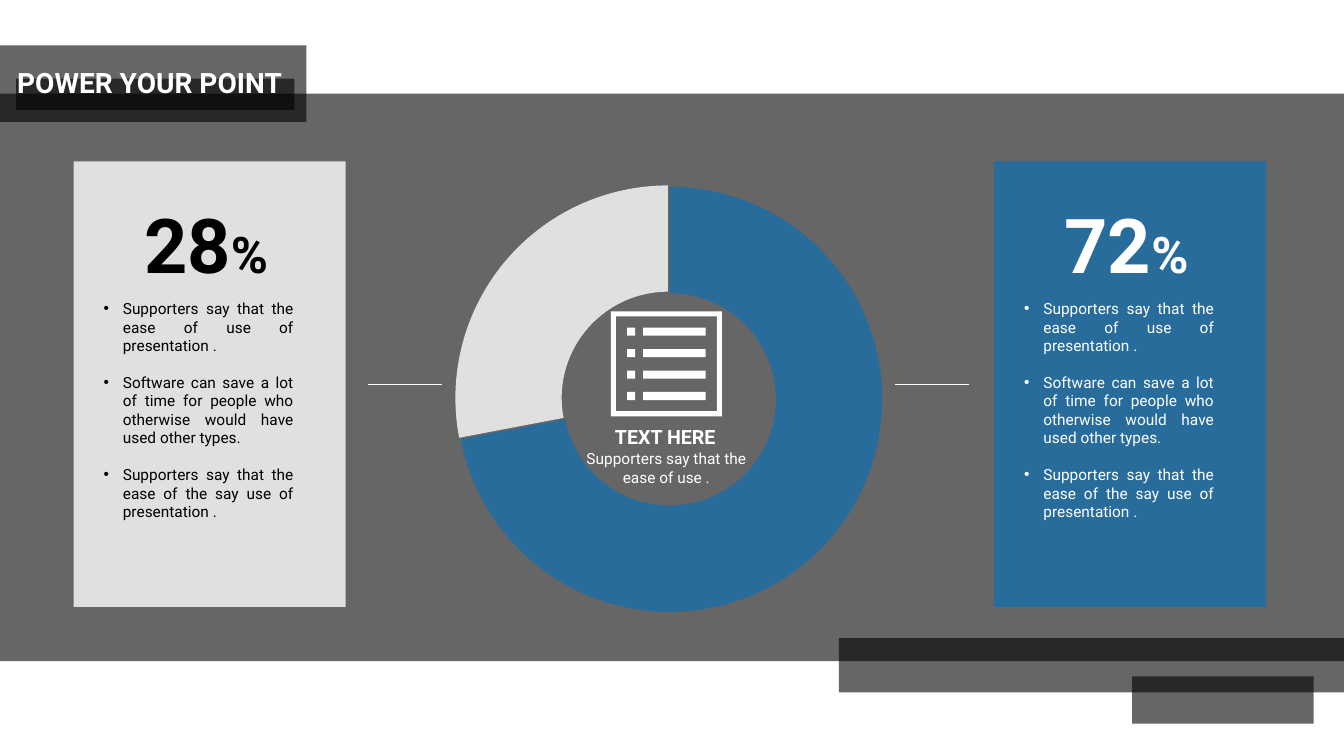
from lxml import etree
from pptx import Presentation
from pptx.chart.data import CategoryChartData
from pptx.dml.color import RGBColor
from pptx.enum.chart import XL_CHART_TYPE
from pptx.enum.shapes import MSO_CONNECTOR, MSO_SHAPE
from pptx.enum.text import MSO_ANCHOR, MSO_AUTO_SIZE, PP_ALIGN
from pptx.oxml.ns import qn
from pptx.util import Inches, Pt

COLORS = {"black": "000000", "white": "FFFFFF", "blue": "0070C0"}
FONT = "Roboto"


def fill_solid(fill, color, opacity=100):
    """Fill with a named colour; opacity is a percentage."""
    fill.solid()
    fill.fore_color.rgb = RGBColor.from_string(COLORS[color])
    if opacity < 100:
        srgb = fill._xPr.find(".//" + qn("a:srgbClr"))
        etree.SubElement(srgb, qn("a:alpha"), val=str(opacity * 1000))


def format_text(box, size, color="white", bold=False, align=PP_ALIGN.LEFT, wrap=True):
    frame = box.text_frame
    frame.word_wrap = wrap
    frame.auto_size = MSO_AUTO_SIZE.SHAPE_TO_FIT_TEXT
    frame.vertical_anchor = MSO_ANCHOR.TOP
    for paragraph in frame.paragraphs:
        paragraph.alignment = align
        for run in paragraph.runs:
            run.font.name = FONT
            run.font.size = Pt(size)
            run.font.bold = bold
            run.font.color.rgb = RGBColor.from_string(COLORS[color])


prs = Presentation()
prs.slide_width, prs.slide_height = Inches(13.33), Inches(7.5)
slide = prs.slides.add_slide(prs.slide_layouts[5])
shapes = slide.shapes

# Background band, side panels, title bars and footer bars
rectangles = [
    (0, 0.93, 13.33, 5.63, "black", 60),
    (0.73, 1.6, 2.7, 4.42, "white", 80),
    (9.86, 1.6, 2.7, 4.42, "blue", 60),
    (0, 0.45, 3.04, 0.76, "black", 60),
    (0.16, 0.78, 2.76, 0.31, "black", 60),
    (8.32, 6.33, 5.02, 0.54, "black", 60),
    (11.23, 6.71, 1.8, 0.47, "black", 60),
]
for left, top, width, height, color, opacity in rectangles:
    rectangle = shapes.add_shape(
        MSO_SHAPE.RECTANGLE, Inches(left), Inches(top), Inches(width), Inches(height))
    rectangle.shadow.inherit = False
    rectangle.line.fill.background()
    fill_solid(rectangle.fill, color, opacity)

# Title, brought in front of its bars
title = shapes.title
title.left, title.top, title.width, title.height = (
    Inches(0.07), Inches(0.6), Inches(2.98), Inches(0.44))
title.text_frame.text = "POWER YOUR POINT"
format_text(title, 20, bold=True)
shapes._spTree.append(title._element)

# Doughnut chart
shares = CategoryChartData()
shares.categories = ["1", "2"]
shares.add_series("Series 1", [72, 28])
chart = shapes.add_chart(
    XL_CHART_TYPE.DOUGHNUT, Inches(4.31), Inches(1.54), Inches(4.56), Inches(4.75), shares).chart
chart.has_legend = False
chart.has_title = False
chart.font.name = FONT
chart.font.size = Pt(10)
chart.font.color.rgb = RGBColor.from_string(COLORS["black"])
plot = chart.plots[0]
plot.vary_by_categories = True
for index, (color, opacity) in enumerate([("blue", 60), ("white", 80)]):
    point = plot.series[0].points[index]
    fill_solid(point.format.fill, color, opacity)
    point.format.line.fill.background()

small_slice = plot.series[0]._element.findall(qn("c:dPt"))[1]
explosion = etree.Element(qn("c:explosion"), val="2")
small_slice.find(qn("c:spPr")).addprevious(explosion)
plot._element.find(qn("c:holeSize")).set("val", "75")

plot_area = chart._chartSpace.find(".//" + qn("c:plotArea"))
for old_layout in plot_area.findall(qn("c:layout")):
    plot_area.remove(old_layout)
layout = etree.Element(qn("c:layout"))
plot_area.insert(0, layout)
manual = etree.SubElement(layout, qn("c:manualLayout"))
for tag, value in [("layoutTarget", "inner"), ("xMode", "edge"), ("yMode", "edge"),
                   ("x", "0.049"), ("y", "0.066"), ("w", "0.925"), ("h", "0.888")]:
    etree.SubElement(manual, qn("c:" + tag), val=value)

# List icon: a frame with four rows of a square and a bar
icon_parts = [(6.06, 3.09, 7.16, 4.13), (6.11, 3.14, 7.11, 4.08)]
for row in range(4):
    row_top = 3.25 + row * 0.213
    icon_parts += [(6.22, row_top, 6.3, row_top + 0.08), (6.38, row_top, 7, row_top + 0.08)]
outline = shapes.build_freeform(Inches(6.06), Inches(3.09))
for left, top, right, bottom in icon_parts:
    outline.move_to(Inches(left), Inches(top))
    corners = [(left, bottom), (right, bottom), (right, top)]
    outline.add_line_segments([(Inches(x), Inches(y)) for x, y in corners], close=True)
list_icon = outline.convert_to_shape()
list_icon.shadow.inherit = False
list_icon.line.fill.background()
fill_solid(list_icon.fill, "white")

# Caption inside the doughnut
heading = shapes.add_textbox(Inches(6), Inches(4.17), Inches(1.22), Inches(0.34))
heading.text_frame.text = "TEXT HERE"
format_text(heading, 14, bold=True, wrap=False)
caption = shapes.add_textbox(Inches(5.56), Inches(4.41), Inches(2.1), Inches(0.47))
caption.text_frame.text = "Supporters say that the ease of use ."
format_text(caption, 11, align=PP_ALIGN.CENTER)

# Percentage, bullets and leader line of each panel
claims = [
    "Supporters say that the ease of use of presentation .",
    "Software can save a lot of time for people who otherwise would have used other types.",
    "Supporters say that the ease of the say use of presentation .",
]
for panel_left, line_left, share, color in [(0.73, 3.65, "28", "black"),
                                            (9.86, 8.88, "72", "white")]:
    percentage = shapes.add_textbox(
        Inches(panel_left + 0.6), Inches(1.91), Inches(1.51), Inches(1.01))
    number = percentage.text_frame.paragraphs[0]
    number.text = share
    sign = number.add_run()
    sign.text = "%"
    format_text(percentage, 54, color, bold=True, wrap=False)
    sign.font.size = Pt(36)

    bullets = shapes.add_textbox(
        Inches(panel_left + 0.2), Inches(2.92), Inches(2.08), Inches(2.51))
    bullets.text_frame.text = "\n".join(claims)
    for index, paragraph in enumerate(bullets.text_frame.paragraphs):
        properties = paragraph._p.get_or_add_pPr()
        properties.set("marL", str(Inches(0.19)))
        properties.set("indent", str(-Inches(0.19)))
        etree.SubElement(properties, qn("a:buFont"), typeface="Arial")
        etree.SubElement(properties, qn("a:buChar"), char="•")
        if index:
            paragraph.space_before = Pt(13)
    format_text(bullets, 11, color, align=PP_ALIGN.JUSTIFY)

    leader = shapes.add_connector(
        MSO_CONNECTOR.STRAIGHT, Inches(line_left), Inches(3.81),
        Inches(line_left + 0.73), Inches(3.81))
    leader.line.width = Pt(0.5)
    leader.line.color.rgb = RGBColor.from_string(COLORS["white"])
    etree.SubElement(leader._element.spPr, qn("a:effectLst"))

prs.save("out.pptx")
